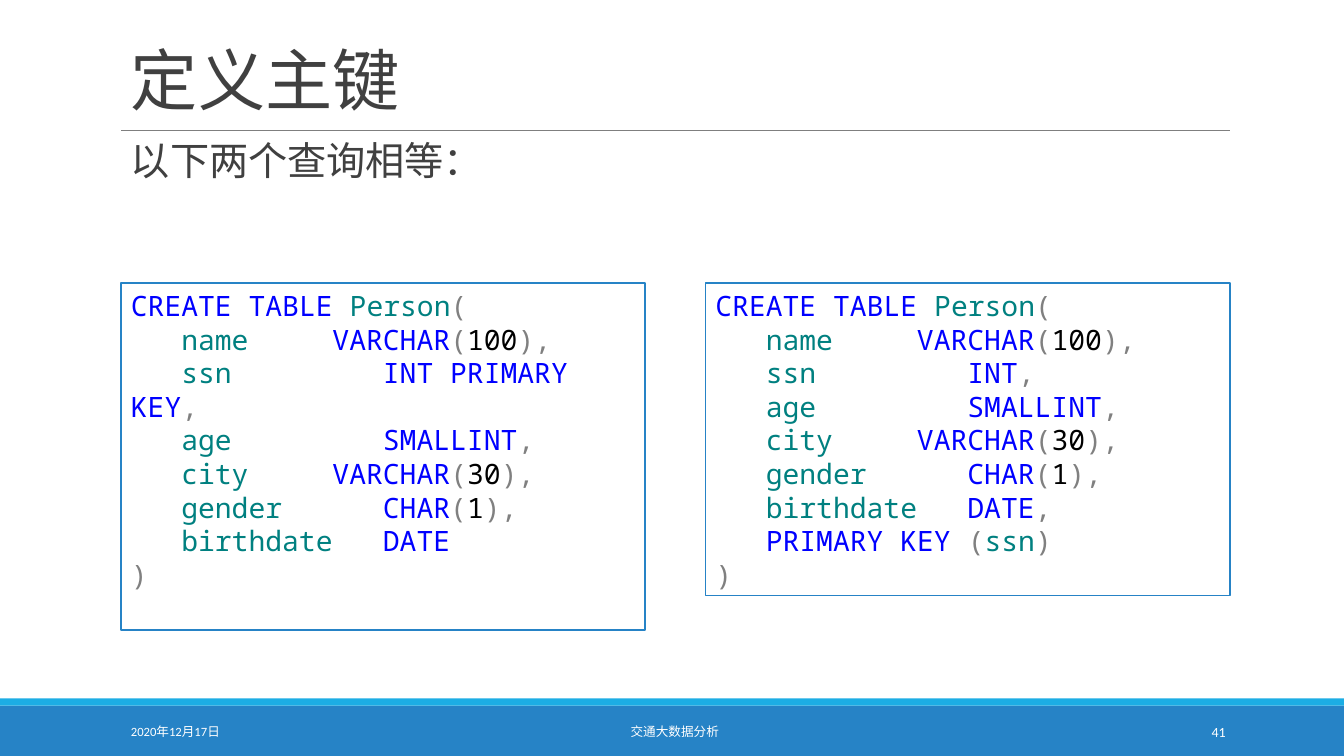
from pptx import Presentation
from pptx.dml.color import RGBColor
from pptx.enum.shapes import MSO_CONNECTOR, MSO_SHAPE
from pptx.enum.text import MSO_ANCHOR, PP_ALIGN
from pptx.oxml.ns import qn
from pptx.util import Cm, Pt
from lxml import etree

COLORS = {
    "blue": "2683C6", "cyan": "1CADE4", "rule": "7F7F7F", "white": "FFFFFF",
    "text": "404040", "keyword": "0000FF", "name": "008080",
    "symbol": "808080", "number": "000000",
}


def color(key):
    return RGBColor.from_string(COLORS[key])


def write_text(shape, lines, size, font="Calibri", align=PP_ALIGN.LEFT,
               anchor=MSO_ANCHOR.TOP, spacing=1.0, tab_step=None):
    """Fill a shape with lines, each a list of (text, color key) runs."""
    frame = shape.text_frame
    frame.word_wrap = True
    frame.vertical_anchor = anchor
    frame.margin_left = frame.margin_right = Cm(0.25)
    frame.margin_top = frame.margin_bottom = Cm(0.13)
    for index, line in enumerate(lines):
        paragraph = frame.paragraphs[0] if index == 0 else frame.add_paragraph()
        paragraph.alignment = align
        paragraph.line_spacing = spacing
        paragraph.space_before = Pt(0)
        if tab_step:
            tabs = etree.SubElement(paragraph._p.get_or_add_pPr(), qn("a:tabLst"))
            for stop in range(8):
                etree.SubElement(tabs, qn("a:tab"), pos=str(tab_step * stop), algn="l")
        for text, key in line:
            run = paragraph.add_run()
            run.text = text
            run.font.name = font
            run.font.size = Pt(size)
            run.font.color.rgb = color(key)


presentation = Presentation()
presentation.slide_width = Cm(33.87)
presentation.slide_height = Cm(19.05)
slide = presentation.slides.add_slide(presentation.slide_layouts[5])
shapes = slide.shapes

# Footer bands and title rule
for top, height, key in [(17.78, 1.27, "blue"), (17.6, 0.18, "cyan")]:
    band = shapes.add_shape(MSO_SHAPE.RECTANGLE, Cm(0), Cm(top), Cm(33.87), Cm(height))
    band.shadow.inherit = False
    band.fill.solid()
    band.fill.fore_color.rgb = color(key)
    band.line.fill.background()

rule = shapes.add_connector(MSO_CONNECTOR.STRAIGHT, Cm(3.05), Cm(3.28), Cm(30.99), Cm(3.28))
rule.line.color.rgb = color("rule")
rule.line.width = Pt(0.5)
etree.SubElement(rule._element.spPr, qn("a:effectLst"))

# Title and subtitle
title = shapes.title
title.left, title.top, title.width, title.height = Cm(3.05), Cm(0.36), Cm(27.94), Cm(2.77)
write_text(title, [[("定义主键", "text")]], 48, anchor=MSO_ANCHOR.BOTTOM, spacing=0.85)

subtitle = shapes.add_textbox(Cm(3.05), Cm(3.45), Cm(27.94), Cm(1.5))
write_text(subtitle, [[("以下两个查询相等：", "text")]], 28, spacing=0.9)

# Footer texts
for left, width, text, size, align in [
    (3.05, 6.86, "2020年12月17日", 9, PP_ALIGN.LEFT),
    (10.31, 13.39, "交通大数据分析", 9, PP_ALIGN.CENTER),
    (27.51, 3.63, "41", 10, PP_ALIGN.RIGHT),
]:
    footer = shapes.add_textbox(Cm(left), Cm(17.93), Cm(width), Cm(1.02))
    write_text(footer, [[(text, "white")]], size, align=align, anchor=MSO_ANCHOR.MIDDLE)

# SQL statements: column name with its tabs, type, length
opening = [("CREATE TABLE ", "keyword"), ("Person", "name"), ("(", "symbol")]
closing = [(")", "symbol")]
key_line = [("\tPRIMARY KEY ", "keyword"), ("(", "symbol"), ("ssn", "name"), (")", "symbol")]

for left, height, ssn_type, last_lines in [
    (3.05, 8.74, "INT PRIMARY KEY", [closing]),
    (17.78, 7.87, "INT", [key_line, closing]),
]:
    columns = [
        ("name\t\t", "VARCHAR", "100"),
        ("ssn\t\t\t", ssn_type, None),
        ("age\t\t\t", "SMALLINT", None),
        ("city\t\t", "VARCHAR", "30"),
        ("gender\t\t", "CHAR", "1"),
        ("birthdate\t", "DATE", None),
    ]
    lines = [opening]
    for name, data_type, length in columns:
        line = [("\t" + name, "name"), (data_type, "keyword")]
        if length:
            line += [("(", "symbol"), (length, "number"), (")", "symbol")]
        line.append((",", "symbol"))
        lines.append(line)
    if key_line not in last_lines:
        lines[-1].pop()

    box = shapes.add_shape(MSO_SHAPE.RECTANGLE, Cm(left), Cm(7.14), Cm(13.21), Cm(height))
    box.shadow.inherit = False
    box.fill.solid()
    box.fill.fore_color.rgb = color("white")
    box.line.color.rgb = color("blue")
    box.line.width = Pt(1.25)
    write_text(box, lines + last_lines, 20, font="Noto Sans Mono", tab_step=Cm(1.27))

presentation.save("out.pptx")
